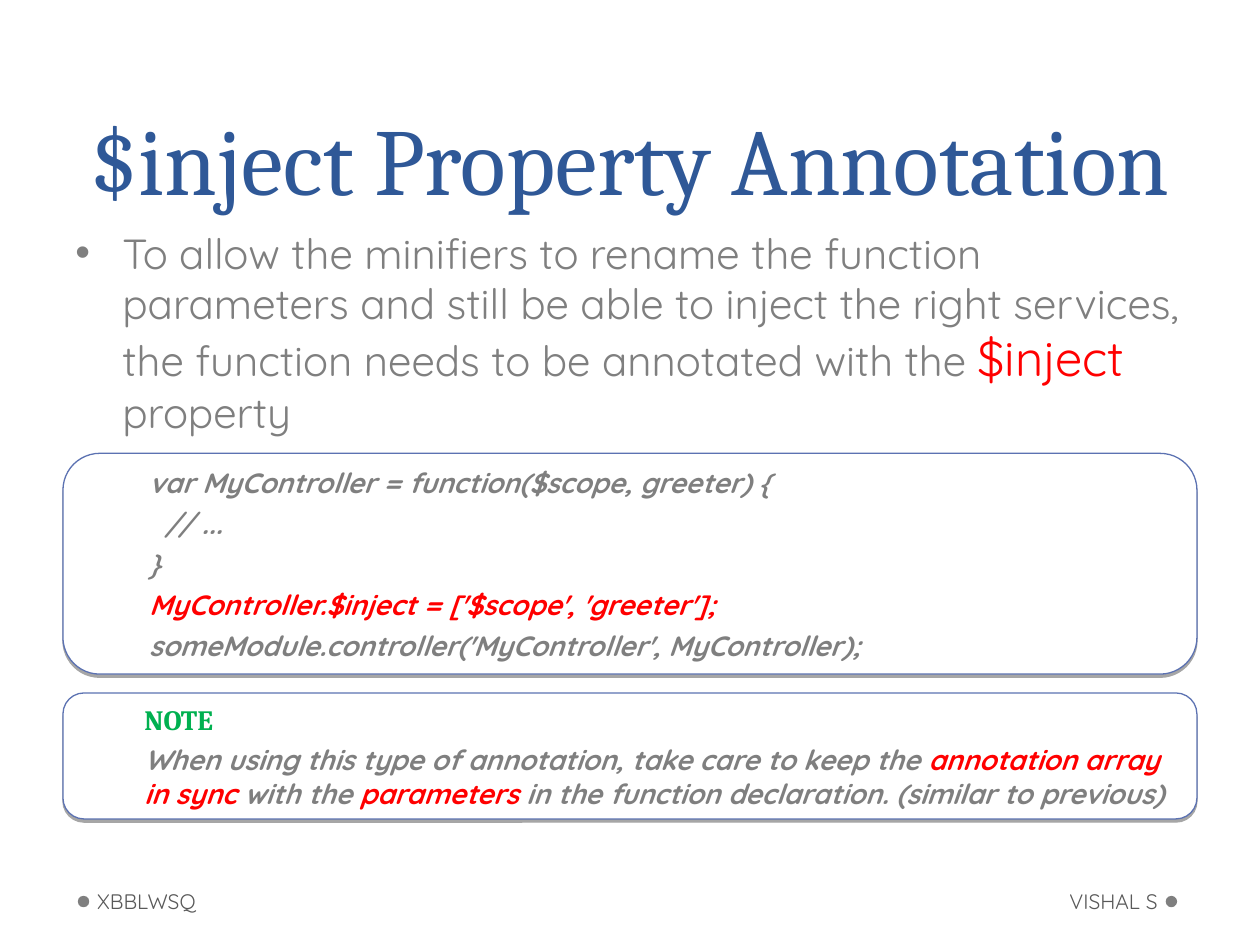
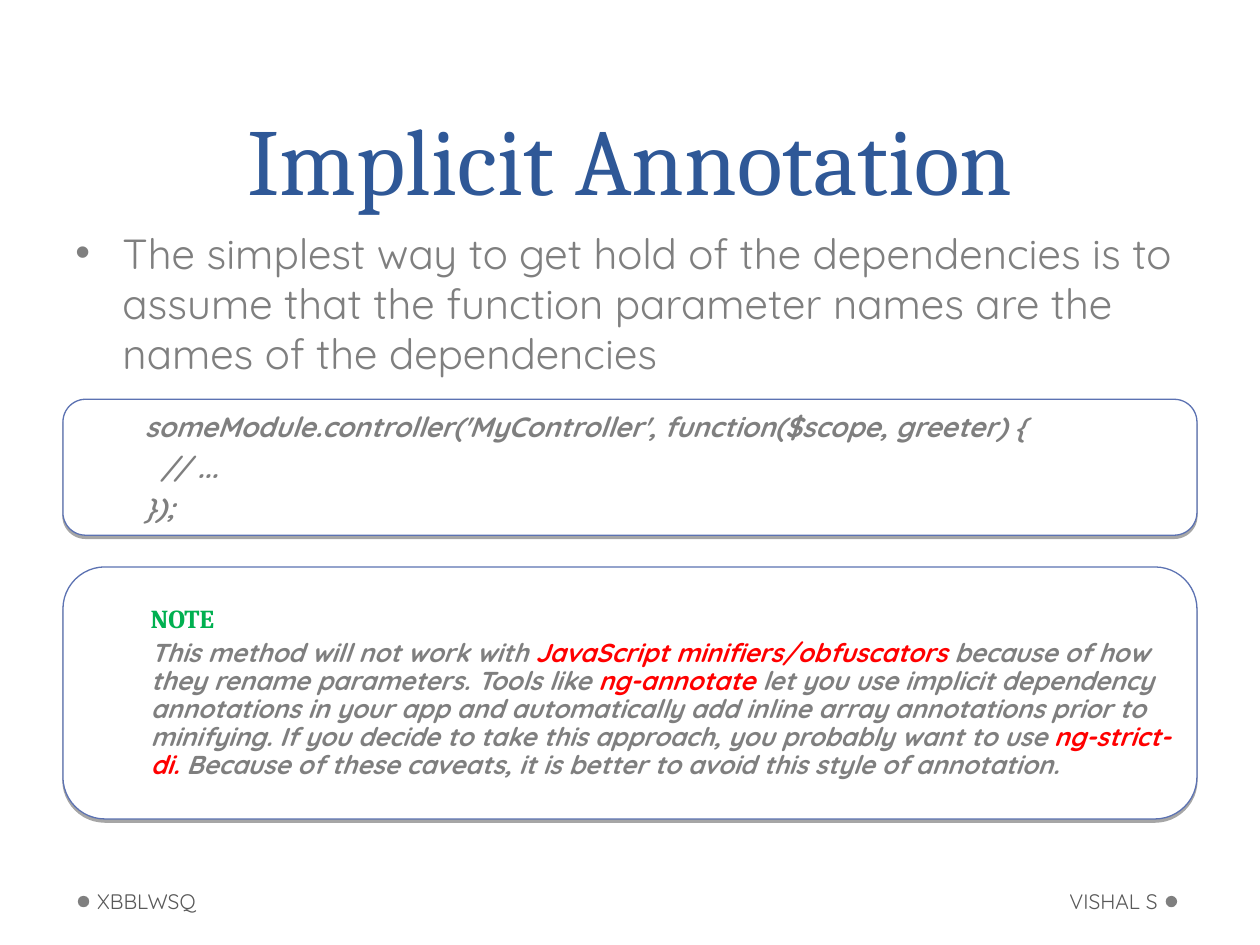
from dataclasses import dataclass

from lxml.etree import SubElement
from pptx import Presentation
from pptx.dml.color import RGBColor
from pptx.enum.shapes import MSO_SHAPE
from pptx.enum.text import MSO_ANCHOR, PP_ALIGN
from pptx.oxml.ns import qn
from pptx.util import Cm, Pt


@dataclass(frozen=True)
class Theme:
    heading: str = "Cambria"
    body: str = "Quicksand"
    title: str = "2F5897"
    gray: str = "7F7F7F"
    red: str = "FF0000"
    green: str = "00B050"
    footer: str = "595959"
    white: str = "FFFFFF"
    outline: str = "5C72B2"
    title_size: float = 54
    body_size: float = 24
    keyword_size: float = 28
    box_size: float = 16
    footer_size: float = 12


T = Theme()

# Content: a paragraph is a list of runs, a run is text or (text, format)
RED = {"color": T.red}
KEYWORD = {"color": T.red, "size": T.keyword_size}
NOTE = [("NOTE", {"font": T.heading, "color": T.green, "italic": False})]
FOOTERS = ("XBBLWSQ", "VISHAL S")

SLIDES = [
    {
        "title": "$inject Property Annotation",
        "body": [
            "To allow the minifiers to rename the function parameters and still "
            "be able to inject the right services, the function needs to be "
            "annotated with the ",
            ("$inject", KEYWORD),
            " property",
        ],
        "code": [
            ["var MyController = function($scope, greeter) {"],
            ["  // ..."],
            ["}"],
            [("MyController.$inject = ['$scope', 'greeter'];", RED)],
            ["someModule.controller('MyController', MyController);"],
        ],
        "code_top": 9.14,
        "code_height": 4.45,
        "note": [
            "When using this type of annotation, take care to keep the ",
            ("annotation array in sync ", RED),
            "with the ",
            ("parameters", RED),
            " in the function declaration. (similar to previous)",
        ],
        "note_height": 2.54,
        "note_format": {},
    },
    {
        "title": "Implicit Annotation",
        "body": [
            "The simplest way to get hold of the dependencies is to assume that "
            "the function parameter names are the names of the dependencies",
        ],
        "code": [
            ["someModule.controller('MyController', function($scope, greeter) {"],
            ["  // ..."],
            ["});"],
        ],
        "code_top": 8.05,
        "code_height": 2.74,
        "note": [
            "This method will not work with ",
            ("JavaScript minifiers/obfuscators ", RED),
            "because of how they rename parameters. Tools like ",
            ("ng-annotate", RED),
            " let you use implicit dependency annotations in your app and "
            "automatically add inline array annotations prior to minifying. If "
            "you decide to take this approach, you probably want to use ",
            ("ng-strict-di. ", RED),
            "Because of these caveats, it is better to avoid this style of "
            "annotation.",
        ],
        "note_height": 5.08,
        "note_format": {"size": 14.8, "line": 0.9},
    },
]

# Layout in centimetres
WIDTH, HEIGHT = 25.4, 19.05
MARGIN = 1.27
INNER = WIDTH - 2 * MARGIN
TITLE_BOTTOM = 4.45
BODY_HEIGHT = 12.57
NOTE_BOTTOM = 16.51
DOT, DOT_TOP = 0.23, 18.06
FOOTER_TOP, FOOTER_HEIGHT = 17.65, 1.02


def write(s, paras, *, size, font=T.body, color=T.gray, bold=False, italic=False,
          align=PP_ALIGN.LEFT, anchor=MSO_ANCHOR.TOP, line=None, gap=0,
          left=0, hanging=0, bullet=None, insets=(0.25, 0.25)):
    tf = s.text_frame
    tf.word_wrap = True
    tf.vertical_anchor = anchor
    tf.margin_left, tf.margin_right = map(Cm, insets)
    tf.margin_top = tf.margin_bottom = Cm(0.13)
    base = dict(size=size, font=font, color=color, bold=bold, italic=italic)
    for i, runs in enumerate(paras):
        p = tf.paragraphs[0] if i == 0 else tf.add_paragraph()
        p.alignment = align
        p.space_before = Pt(gap if i else 0)
        if line:
            p.line_spacing = line
        pPr = p._p.get_or_add_pPr()
        pPr.set("marL", str(Cm(left)))
        pPr.set("indent", str(-Cm(hanging)))
        if bullet:
            SubElement(pPr, qn("a:buFont"), typeface="Arial")
            SubElement(pPr, qn("a:buChar"), char=bullet)
        for run in runs:
            text, changes = (run, {}) if isinstance(run, str) else run
            f = {**base, **changes}
            r = p.add_run()
            r.text = text
            r.font.name = f["font"]
            r.font.size = Pt(f["size"])
            r.font.bold = f["bold"]
            r.font.italic = f["italic"]
            r.font.color.rgb = RGBColor.from_string(f["color"])


def add_text(slide, box, paras, **fmt):
    write(slide.shapes.add_textbox(*map(Cm, box)), paras, **fmt)


def add_shape(slide, kind, box, fill):
    s = slide.shapes.add_shape(kind, *map(Cm, box))
    s.shadow.inherit = False
    s.fill.solid()
    s.fill.fore_color.rgb = RGBColor.from_string(fill)
    s.line.fill.background()
    return s


def add_panel(slide, top, height, paras, **fmt):
    """Rounded white panel with a thin drop shadow."""
    s = add_shape(slide, MSO_SHAPE.ROUNDED_RECTANGLE,
                  (MARGIN, top, INNER, height), T.white)
    s.line.color.rgb = RGBColor.from_string(T.outline)
    s.line.width = Pt(0.75)
    effects = s._element.spPr.find(qn("a:effectLst"))
    shadow = SubElement(effects, qn("a:outerShdw"), blurRad="0",
                        dist=str(Pt(1.8)), dir="5400000", rotWithShape="0")
    tint = SubElement(shadow, qn("a:srgbClr"), val="000000")
    SubElement(tint, qn("a:alpha"), val="35000")
    write(s, paras, **{"size": T.box_size, "bold": True, "italic": True,
                       "anchor": MSO_ANCHOR.MIDDLE, "gap": 4, "left": 1.27, **fmt})


def add_footers(slide):
    for x in (1.57, 23.5):
        add_shape(slide, MSO_SHAPE.OVAL, (x, DOT_TOP, DOT, DOT), T.gray)
    places = [(1.83, 7.9, PP_ALIGN.LEFT, (0.13, 0.25)),
              (17.68, 5.79, PP_ALIGN.RIGHT, (0.25, 0.13))]
    for text, (x, width, align, insets) in zip(FOOTERS, places):
        add_text(slide, (x, FOOTER_TOP, width, FOOTER_HEIGHT), [[text]],
                 size=T.footer_size, color=T.footer, align=align, insets=insets,
                 anchor=MSO_ANCHOR.MIDDLE)


def build_slide(prs, content):
    slide = prs.slides.add_slide(prs.slide_layouts[6])
    # Title and bullet
    add_text(slide, (MARGIN, 0, INNER, TITLE_BOTTOM), [[content["title"]]],
             size=T.title_size, font=T.heading, color=T.title,
             align=PP_ALIGN.CENTER, anchor=MSO_ANCHOR.BOTTOM, line=Pt(58))
    add_text(slide, (MARGIN, TITLE_BOTTOM, INNER, BODY_HEIGHT), [content["body"]],
             size=T.body_size, bullet="•", left=0.95, hanging=0.95)
    # Code and note panels
    add_panel(slide, content["code_top"], content["code_height"], content["code"])
    add_panel(slide, NOTE_BOTTOM - content["note_height"], content["note_height"],
              [NOTE, content["note"]], **content["note_format"])
    add_footers(slide)


def main():
    prs = Presentation()
    prs.slide_width, prs.slide_height = Cm(WIDTH), Cm(HEIGHT)
    for content in SLIDES:
        build_slide(prs, content)
    prs.save("out.pptx")


if __name__ == "__main__":
    main()
